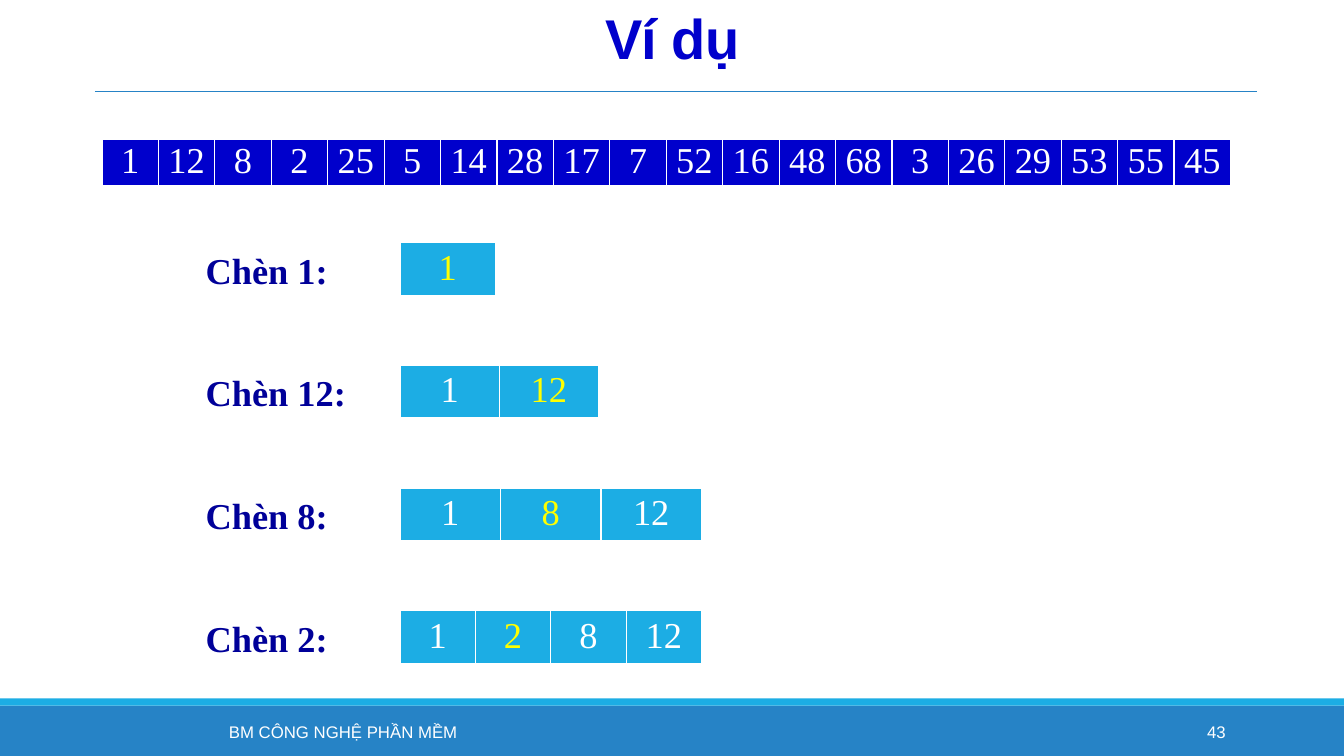
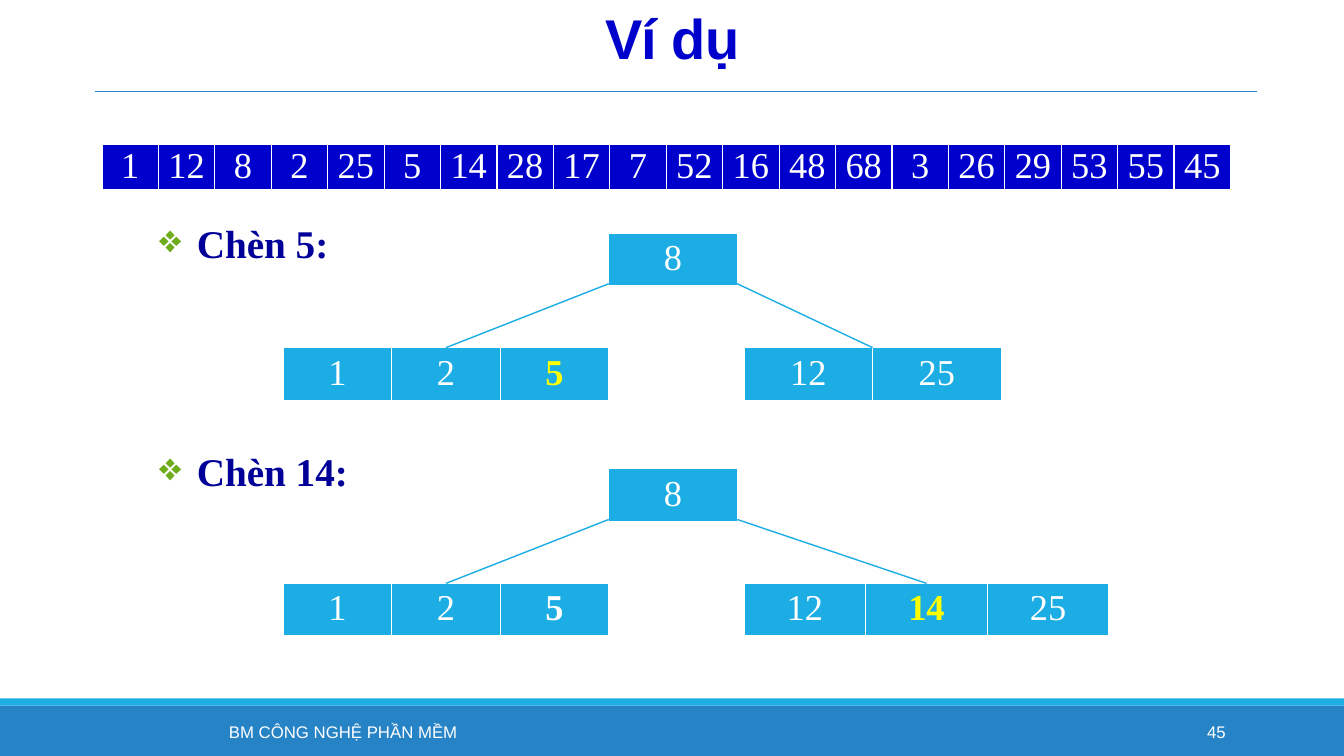
from lxml import etree
from pptx import Presentation
from pptx import util as u
from pptx.dml.color import RGBColor
from pptx.enum import shapes, text
from pptx.oxml.ns import qn

COLORS = {
    "band": "2683C6", "cyan": "1CADE4", "blue": "0000CC", "navy": "000099",
    "yellow": "FFFF00", "white": "FFFFFF", "green": "6EAC1C",
}
SERIF, SANS = "Times New Roman", "Arial"
RGB = {name: RGBColor.from_string(value) for name, value in COLORS.items()}
Cm = u.Cm
ALIGN, ANCHOR = text.PP_ALIGN, text.MSO_ANCHOR

NUMBERS = [1, 12, 8, 2, 25, 5, 14, 28, 17, 7, 52, 16, 48, 68, 3, 26, 29, 53, 55, 45]
PAGES = [(43, 3.51), (45, 3.63)]  # page number, top of the number row

prs = Presentation()
prs.slide_width, prs.slide_height = Cm(33.87), Cm(19.05)


def add_text(slide, words, box, size, color, font=SANS, bold=False,
             align=ALIGN.LEFT, anchor=ANCHOR.TOP):
    frame = slide.shapes.add_textbox(*(Cm(v) for v in box)).text_frame
    frame.word_wrap = True
    frame.vertical_anchor = anchor
    frame.text = words
    paragraph = frame.paragraphs[0]
    paragraph.alignment = align
    style = paragraph.runs[0].font
    style.size, style.name, style.bold = u.Pt(size), font, bold
    style.color.rgb = RGB[color]
    return paragraph


def add_keys(slide, keys, x, y, width, height=1.35, fill="cyan",
             inserted=None, bold=(), tight=False):
    """Draw a node as a one-row table; the inserted key is yellow."""
    table = slide.shapes.add_table(1, len(keys), Cm(x), Cm(y), Cm(width), Cm(height)).table
    table.first_row = table.horz_banding = False
    for column, cell, key in zip(table.columns, table.iter_cells(), keys):
        column.width = Cm(width / len(keys))
        # White rules around each cell, thicker below
        for side, points in (("lnL", 1), ("lnR", 1), ("lnT", 1), ("lnB", 3)):
            rule = etree.SubElement(cell._tc.get_or_add_tcPr(), qn("a:" + side),
                                    w=str(u.Pt(points)))
            solid = etree.SubElement(rule, qn("a:solidFill"))
            etree.SubElement(solid, qn("a:srgbClr"), val=COLORS["white"])
        cell.fill.solid()
        cell.fill.fore_color.rgb = RGB[fill]
        cell.text = str(key)
        paragraph = cell.text_frame.paragraphs[0]
        paragraph.alignment = ALIGN.CENTER
        if tight:
            cell.vertical_anchor = ANCHOR.MIDDLE
            cell.margin_left = cell.margin_right = Cm(0.15)
            cell.margin_top = cell.margin_bottom = 0
            paragraph.line_spacing = 0.9
        style = paragraph.runs[0].font
        style.size, style.name, style.bold = u.Pt(26), SERIF, key in bold
        style.color.rgb = RGB["yellow" if key == inserted else "white"]


# Shared parts: bands, title, divider, number row, footer
slides = []
for page, row_top in PAGES:
    slide = prs.slides.add_slide(prs.slide_layouts[6])
    slides.append(slide)
    for top, height, color in ((17.78, 1.27, "band"), (17.6, 0.18, "cyan")):
        band = slide.shapes.add_shape(shapes.MSO_SHAPE.RECTANGLE, 0, Cm(top),
                                      prs.slide_width, Cm(height))
        band.shadow.inherit = False
        band.fill.solid()
        band.fill.fore_color.rgb = RGB[color]
        band.line.fill.background()
    divider = slide.shapes.add_connector(shapes.MSO_CONNECTOR.STRAIGHT,
                                         Cm(2.39), Cm(2.3), Cm(31.67), Cm(2.3))
    divider.line.color.rgb, divider.line.width = RGB["band"], u.Pt(0.5)
    etree.SubElement(divider._element.spPr, qn("a:effectLst"))
    title = add_text(slide, "Ví dụ", (2.16, 0.1, 29.57, 1.96), 40, "blue", bold=True,
                     align=ALIGN.CENTER, anchor=ANCHOR.MIDDLE)
    title.line_spacing = 0.85
    title.runs[0].font._element.set("spc", "-50")
    add_keys(slide, NUMBERS, 2.57, row_top, 28.45, 1.19, "blue", tight=True)
    add_text(slide, "BM CÔNG NGHỆ PHẦN MỀM", (3.05, 17.93, 11.2, 1.02), 12, "white",
             align=ALIGN.CENTER, anchor=ANCHOR.MIDDLE)
    add_text(slide, str(page), (27.51, 17.93, 3.63, 1.02), 12, "white",
             align=ALIGN.RIGHT, anchor=ANCHOR.MIDDLE)

steps_slide, trees_slide = slides

# First slide: four insertions into one node
steps = [(1, [1], 2.4), (12, [1, 12], 5), (8, [1, 8, 12], 7.6), (2, [1, 2, 8, 12], 7.6)]
for i, (inserted, keys, width) in enumerate(steps):
    top = 6.12 + 3.09 * i
    add_keys(steps_slide, keys, 10.08, top, width, inserted=inserted)
    add_text(steps_slide, f"Chèn {inserted}:", (4.93, top, 4.34, 1.37), 26, "navy",
             SERIF, bold=True)

# Second slide: two trees, each a root with two children
ROOT_X, ROOT_W, LEFT_X, LEFT_W, RIGHT_X = 15.34, 3.24, 7.14, 8.2, 18.75
trees = [  # inserted key, label top, root top, right child, its width, line spacing
    (5, 5.54, 5.87, [12, 25], 6.48, 0.9),
    (14, 11.15, 11.81, [12, 14, 25], 9.2, 1.0),
]
for inserted, label_top, root_top, right_keys, right_w, spacing in trees:
    label = add_text(trees_slide, f"Chèn {inserted}:", (3.76, label_top, 26.37, 1.4), 28,
                     "navy", SERIF, bold=True, align=ALIGN.JUSTIFY)
    properties = label._p.get_or_add_pPr()
    properties.set("marL", str(Cm(0.95)))
    properties.set("indent", str(-Cm(0.95)))
    bullet_color = etree.SubElement(properties, qn("a:buClr"))
    etree.SubElement(bullet_color, qn("a:srgbClr"), val=COLORS["green"])
    etree.SubElement(properties, qn("a:buChar"), char="❖")
    label.line_spacing = spacing

    child_top = root_top + 2.89
    add_keys(trees_slide, [8], ROOT_X, root_top, ROOT_W)
    add_keys(trees_slide, right_keys, RIGHT_X, child_top, right_w,
             inserted=inserted, bold=[14])
    add_keys(trees_slide, [1, 2, 5], LEFT_X, child_top, LEFT_W,
             inserted=inserted, bold=[5])

    # Edges from the root's lower corners to the middle of each child
    for corner_x, child_x in ((ROOT_X, LEFT_X + LEFT_W / 2),
                              (ROOT_X + ROOT_W, RIGHT_X + right_w / 2)):
        edge = trees_slide.shapes.add_connector(
            shapes.MSO_CONNECTOR.STRAIGHT, Cm(corner_x), Cm(root_top + 1.28),
            Cm(child_x), Cm(child_top))
        edge.line.color.rgb, edge.line.width = RGB["cyan"], u.Pt(1)
        etree.SubElement(edge._element.spPr, qn("a:effectLst"))

prs.save("out.pptx")
